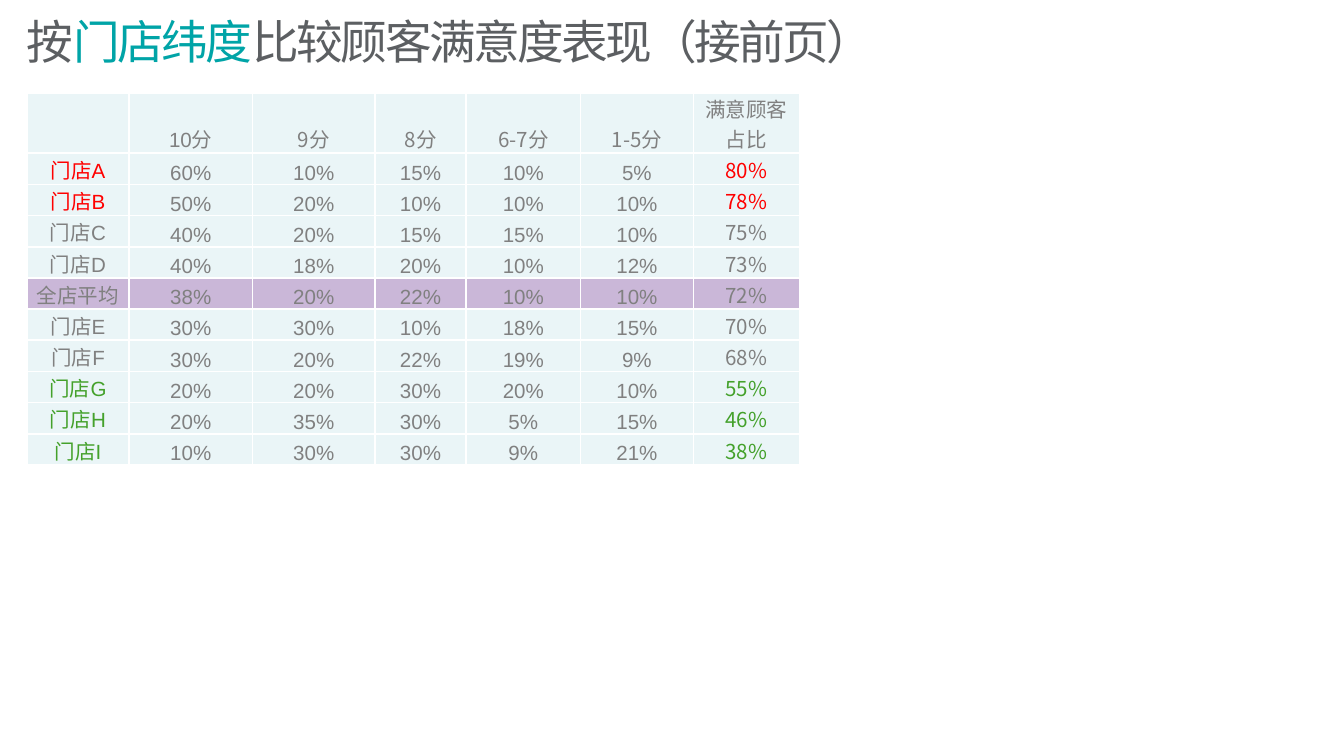
from lxml import etree
from pptx import Presentation
from pptx.dml.color import RGBColor
from pptx.enum.text import MSO_ANCHOR, MSO_AUTO_SIZE, PP_ALIGN
from pptx.oxml.ns import qn
from pptx.util import Inches, Pt

TOP, BOTTOM = MSO_ANCHOR.TOP, MSO_ANCHOR.BOTTOM
LEFT, CENTER = PP_ALIGN.LEFT, PP_ALIGN.CENTER
FIT_SHAPE = MSO_AUTO_SIZE.SHAPE_TO_FIT_TEXT

SLATE = RGBColor(0x5C, 0x5F, 0x62)
TEAL = RGBColor(0x00, 0xA4, 0xA7)
GRAY = RGBColor(0x80, 0x80, 0x80)
RED = RGBColor(0xFF, 0x00, 0x00)
GREEN = RGBColor(0x44, 0xA1, 0x2B)
PALE_BLUE = RGBColor(0xEA, 0xF5, 0xF7)
LILAC = RGBColor(0xCA, 0xB7, 0xD8)

TITLE_FONT = "Montserrat"
LATIN_FONT = "Arial"
CHINESE_FONT = "Noto Sans CJK SC"

TITLE_RUNS = [("按", SLATE), ("门店纬度", TEAL), ("比较顾客满意度表现（接前页）", SLATE)]
HEADER = ["", "10分", "9分", "8分", "6-7分", "1-5分", "满意顾客\n占比"]
AVERAGE = "全店平均"
# Row label, percentages by column, colour of the label and of the total
STORES = [
    ("门店A", (60, 10, 15, 10, 5, 80), RED),
    ("门店B", (50, 20, 10, 10, 10, 78), RED),
    ("门店C", (40, 20, 15, 15, 10, 75), GRAY),
    ("门店D", (40, 18, 20, 10, 12, 73), GRAY),
    (AVERAGE, (38, 20, 22, 10, 10, 72), GRAY),
    ("门店E", (30, 30, 10, 18, 15, 70), GRAY),
    ("门店F", (30, 20, 22, 19, 9, 68), GRAY),
    ("门店G", (20, 20, 30, 20, 10, 55), GREEN),
    ("门店H", (20, 35, 30, 5, 15, 46), GREEN),
    ("门店I", (10, 30, 30, 9, 21, 38), GREEN),
]
COLUMN_WIDTHS = [0.76, 0.92, 0.91, 0.68, 0.85, 0.84, 0.79]
HEADER_HEIGHT = 0.45
BODY_HEIGHT = 2.32


def add_run(paragraph, text, size, font_name, color):
    run = paragraph.add_run()
    run.text = text
    run.font.size = Pt(size)
    run.font.name = font_name
    run.font.color.rgb = color
    return run


def set_east_asian_font(run, font_name):
    latin = run.font._element.find(qn("a:latin"))
    east_asian = etree.Element(qn("a:ea"), typeface=font_name)
    latin.addnext(east_asian)


def add_white_borders(cell):
    """Put 1 pt white lines on all four sides, ahead of the cell's fill."""
    properties = cell._tc.get_or_add_tcPr()
    for position, side in enumerate(("lnL", "lnR", "lnT", "lnB")):
        line = etree.Element(qn(f"a:{side}"), w=str(Pt(1)))
        fill = etree.SubElement(line, qn("a:solidFill"))
        etree.SubElement(fill, qn("a:srgbClr"), val="FFFFFF")
        properties.insert(position, line)


def fill_cell(cell, text, font_name, color, background):
    cell.vertical_anchor = BOTTOM
    cell.margin_left = cell.margin_right = cell.margin_top = Inches(0.01)
    cell.margin_bottom = 0
    cell.fill.solid()
    cell.fill.fore_color.rgb = background
    add_white_borders(cell)
    if not text:
        return
    frame = cell.text_frame
    for index, line in enumerate(text.split("\n")):
        paragraph = frame.add_paragraph() if index else frame.paragraphs[0]
        paragraph.alignment = CENTER
        run = add_run(paragraph, line, 11, font_name, color)
        set_east_asian_font(run, CHINESE_FONT)


def place_title(slide, left, top, width, height):
    title = slide.shapes.title
    title.left, title.top = Inches(left), Inches(top)
    title.width, title.height = Inches(width), Inches(height)
    frame = title.text_frame
    frame.margin_left = frame.margin_right = 0
    frame.margin_top = frame.margin_bottom = 0
    frame.word_wrap = True
    frame.auto_size = FIT_SHAPE
    frame.vertical_anchor = TOP
    paragraph = frame.paragraphs[0]
    paragraph.alignment = LEFT
    paragraph.line_spacing = 0.7
    for text, color in TITLE_RUNS:
        run = add_run(paragraph, text, 25, TITLE_FONT, color)
        run.font._element.set("spc", "-130")


def add_satisfaction_table(slide, left, top):
    table = slide.shapes.add_table(
        len(STORES) + 1, len(HEADER), Inches(left), Inches(top),
        Inches(sum(COLUMN_WIDTHS)), Inches(HEADER_HEIGHT + BODY_HEIGHT)).table
    for column, width in zip(table.columns, COLUMN_WIDTHS):
        column.width = Inches(width)
    row_height = BODY_HEIGHT / len(STORES)
    for index, row in enumerate(table.rows):
        row.height = Inches(row_height if index else HEADER_HEIGHT)

    for column, text in enumerate(HEADER):
        font_name = LATIN_FONT if column == 1 else CHINESE_FONT
        fill_cell(table.cell(0, column), text, font_name, GRAY, PALE_BLUE)

    last = len(HEADER) - 1
    for row, (label, values, accent) in enumerate(STORES, start=1):
        background = LILAC if label == AVERAGE else PALE_BLUE
        texts = [label] + [f"{value}%" for value in values]
        for column, text in enumerate(texts):
            chinese = column == last or text == AVERAGE
            font_name = CHINESE_FONT if chinese else LATIN_FONT
            color = accent if column in (0, last) else GRAY
            fill_cell(table.cell(row, column), text, font_name, color, background)


def main():
    presentation = Presentation()
    presentation.slide_width = Inches(10)
    presentation.slide_height = Inches(10 * 9 / 16)
    title_only = presentation.slide_layouts[5]
    slide = presentation.slides.add_slide(title_only)
    place_title(slide, 0.2, 0.21, 9, 0.29)
    add_satisfaction_table(slide, 0.2, 0.69)
    presentation.save("out.pptx")


if __name__ == "__main__":
    main()
